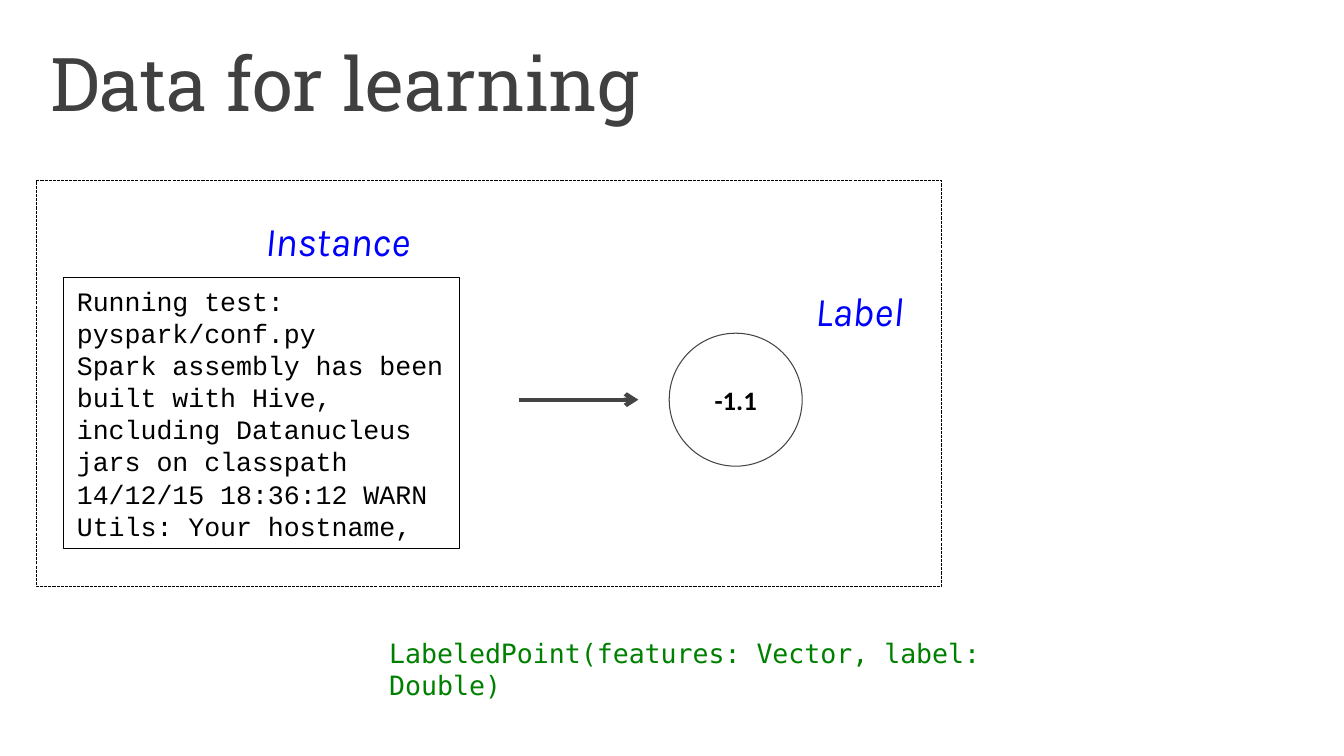
from lxml.etree import SubElement
from pptx import Presentation
from pptx.dml.color import RGBColor
from pptx.enum.dml import MSO_LINE_DASH_STYLE as DASH
from pptx.enum.shapes import MSO_CONNECTOR as CONNECTOR, MSO_SHAPE as SHAPE
from pptx.enum.text import MSO_ANCHOR as ANCHOR, PP_ALIGN as ALIGN
from pptx.oxml.ns import qn
from pptx.util import Pt

TITLE = "Data for learning"
LOG_LINES = [
    "Running test: pyspark/conf.py",
    "Spark assembly has been built with Hive, including Datanucleus jars on classpath",
    "14/12/15 18:36:12 WARN Utils: Your hostname,",
]
LABEL_VALUE = "-1.1"
SIGNATURE = "LabeledPoint(features: Vector, label: Double)"
CAPTIONS = [("Instance", 180, 149), ("Label", 573, 199.5)]  # text, left, top

BLACK, GRAY, BLUE, GREEN = "000000", "444444", "0000FF", "008000"
CODE_SPACING = 23
ARROW_LEFT, ARROW_RIGHT = 371, 456
CIRCLE_LEFT, CIRCLE_TOP, CIRCLE_SIZE = 478, 238, 95


def color(target, hex_value):
    target.rgb = RGBColor.from_string(hex_value)


def write(shape, lines, font_name, size, hex_value, bold=False, italic=False,
          align=ALIGN.LEFT, anchor=ANCHOR.TOP, spacing=None):
    frame = shape.text_frame
    frame.word_wrap = True
    frame.vertical_anchor = anchor
    frame.margin_left = frame.margin_right = Pt(9.5)
    frame.margin_top = frame.margin_bottom = Pt(5)
    for index, line in enumerate(lines):
        paragraph = frame.add_paragraph() if index else frame.paragraphs[0]
        paragraph.alignment = align
        if spacing:
            paragraph.line_spacing = Pt(spacing)
        run = paragraph.add_run()
        run.text = line
        font = run.font
        font.name, font.size = font_name, Pt(size)
        font.bold, font.italic = bold, italic
        color(font.color, hex_value)


def add_outline(slide, kind, box, hex_value):
    shape = slide.shapes.add_shape(kind, *map(Pt, box))
    shape.shadow.inherit = False
    shape.fill.background()
    shape.line.width = Pt(0.75)
    color(shape.line.color, hex_value)
    return shape


def add_text(slide, box, *args, **options):
    write(slide.shapes.add_textbox(*map(Pt, box)), *args, **options)


def add_arrow(slide, left, right, y):
    arrow = slide.shapes.add_connector(
        CONNECTOR.STRAIGHT, Pt(left), Pt(y), Pt(right), Pt(y))
    arrow.line.width = Pt(3)
    color(arrow.line.color, GRAY)
    SubElement(arrow.line._get_or_add_ln(), qn("a:tailEnd"), type="arrow")
    SubElement(arrow._element.spPr, qn("a:effectLst"))


def main():
    presentation = Presentation()
    presentation.slide_width, presentation.slide_height = Pt(960), Pt(540)
    slide = presentation.slides.add_slide(presentation.slide_layouts[5])

    title = slide.shapes.title
    title.left, title.top, title.width, title.height = map(Pt, (26.5, 21.5, 898.5, 90))
    write(title, [TITLE], "Roboto Slab", 53, "404040")

    log = add_outline(slide, SHAPE.RECTANGLE, (45.5, 198, 282.5, 194), BLACK)
    write(log, LOG_LINES, "Courier New", 19, BLACK, spacing=CODE_SPACING)

    add_arrow(slide, ARROW_LEFT, ARROW_RIGHT, CIRCLE_TOP + CIRCLE_SIZE / 2)
    circle = add_outline(
        slide, SHAPE.OVAL, (CIRCLE_LEFT, CIRCLE_TOP, CIRCLE_SIZE, CIRCLE_SIZE), GRAY)
    write(circle, [LABEL_VALUE], "Calibri", 19, BLACK, bold=True,
          align=ALIGN.CENTER, anchor=ANCHOR.MIDDLE)

    for caption, left, top in CAPTIONS:
        add_text(slide, (left, top, 150, 44.5), [caption], "Karla", 29, BLUE, italic=True)

    frame = add_outline(slide, SHAPE.RECTANGLE, (26, 129, 646.5, 290), BLACK)
    frame.line.dash_style = DASH.SQUARE_DOT

    add_text(slide, (268.5, 450, 494, 56), [SIGNATURE], "DejaVu Sans Mono", 19, GREEN,
             spacing=CODE_SPACING)

    presentation.save("out.pptx")


if __name__ == "__main__":
    main()
